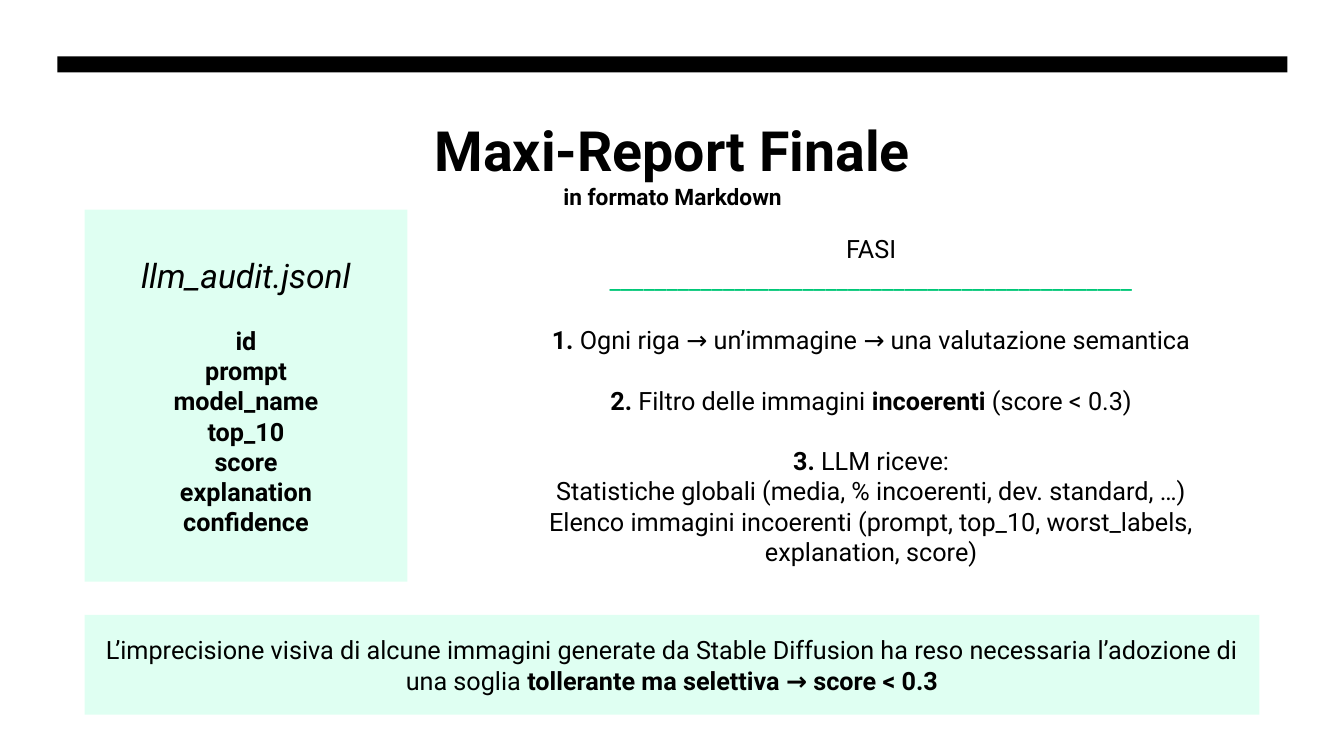
from pptx import Presentation
from pptx.dml.color import RGBColor
from pptx.enum.shapes import MSO_SHAPE as Shape
from pptx.enum.text import MSO_ANCHOR as Anchor, PP_ALIGN as Align
from pptx.oxml.ns import qn
from pptx.util import Emu, Pt
from lxml import etree

PX = 9144
FONT = "Roboto"
BLACK, MINT, GREEN = "000000", "C1FFE6", "00C777"
LEFT, RIGHT = 84, 1249


def px(length):
    return Emu(length * PX)


def paint(target, color):
    target.rgb = RGBColor.from_string(color)


def add_bar(page, left, top, width, height, color, opacity=100):
    bar = page.shapes.add_shape(Shape.RECTANGLE, px(left), px(top), px(width), px(height))
    bar.shadow.inherit = False
    bar.line.fill.background()
    bar.fill.solid()
    paint(bar.fill.fore_color, color)
    if opacity < 100:
        tint = bar.fill._xPr.find(qn("a:solidFill"))[0]
        etree.SubElement(tint, qn("a:alpha"), val=str(opacity * 1000))
    return bar


def set_frame(box, anchor, top_inset=5):
    frame = box.text_frame
    frame.word_wrap = True
    frame.vertical_anchor = anchor
    frame.margin_left = frame.margin_right = px(10)
    frame.margin_top, frame.margin_bottom = px(top_inset), px(5)
    return frame


def add_textbox(page, left, top, width, height, top_inset=5):
    box = page.shapes.add_textbox(px(left), px(top), px(width), px(height))
    return set_frame(box, Anchor.TOP, top_inset)


def write(frame, lines):
    for index, (spans, size, color, gap) in enumerate(lines):
        para = frame.paragraphs[0] if index == 0 else frame.add_paragraph()
        para.alignment = Align.CENTER
        if gap:
            para.space_before = Pt(gap)
        for words, style in spans:
            span = para.add_run()
            span.text = words
            span.font.name = FONT
            span.font.size = Pt(size)
            span.font.bold = style == "bold"
            span.font.italic = style == "italic"
            paint(span.font.color, color)


def add_title(page, left, top, width, height):
    frame = add_textbox(page, left, top, width, height, 8)
    write(frame, [
        ([("Maxi-Report Finale", "bold")], 39.6, BLACK, 0),
        ([("in formato Markdown", "bold")], 16.2, BLACK, 0),
    ])


def add_fields(page, left, top, width, height):
    card = add_bar(page, left, top, width, height, MINT, 50)
    fields = ["id", "prompt", "model_name", "top_10", "score", "explanation", "confidence"]
    lines = [([("llm_audit.jsonl", "italic")], 24, BLACK, 0)]
    lines += [([(field, "bold")], 18, BLACK, 0 if index else 21.6)
              for index, field in enumerate(fields)]
    write(set_frame(card, Anchor.MIDDLE), lines)


def add_phases(page, left, top, width, height):
    frame = add_textbox(page, left, top, width, height)
    write(frame, [
        ([("FASI", "")], 18, BLACK, 0),
        ([("_" * 46, "")], 18, GREEN, 0),
        ([("1.", "bold"), (" Ogni riga → un’immagine → una valutazione semantica", "")],
         18, BLACK, 21.6),
        ([("2.", "bold"), (" Filtro delle immagini ", ""), ("incoerenti", "bold"),
          (" (score < 0.3)", "")], 18, BLACK, 21.6),
        ([("3.", "bold"), (" LLM riceve:", "")], 18, BLACK, 21.6),
        ([("Statistiche globali (media, % incoerenti, dev. standard, …)", "")], 18, BLACK, 0),
        ([("Elenco immagini incoerenti (prompt, top_10, worst_labels, explanation, score)", "")],
         18, BLACK, 0),
    ])


def add_conclusion(page, left, top, width, height):
    card = add_bar(page, left, top, width, height, MINT, 50)
    write(set_frame(card, Anchor.MIDDLE), [
        ([("L’imprecisione visiva di alcune immagini generate da Stable Diffusion ha reso "
           "necessaria l’adozione di una soglia ", ""),
          ("tollerante ma selettiva → score < 0.3", "bold")], 18, BLACK, 0),
    ])


def main():
    deck = Presentation()
    deck.slide_width, deck.slide_height = px(1333), px(750)
    page = deck.slides.add_slide(deck.slide_layouts[6])
    add_bar(page, 57, 56, 1220, 16, BLACK)
    add_title(page, 57, 107, 1220, 99)
    add_fields(page, LEFT, 208, 320, 369)
    add_conclusion(page, LEFT, 610, RIGHT - LEFT, 99)
    add_phases(page, 479, 227, RIGHT - 479, 434)
    deck.save("out.pptx")


if __name__ == "__main__":
    main()
